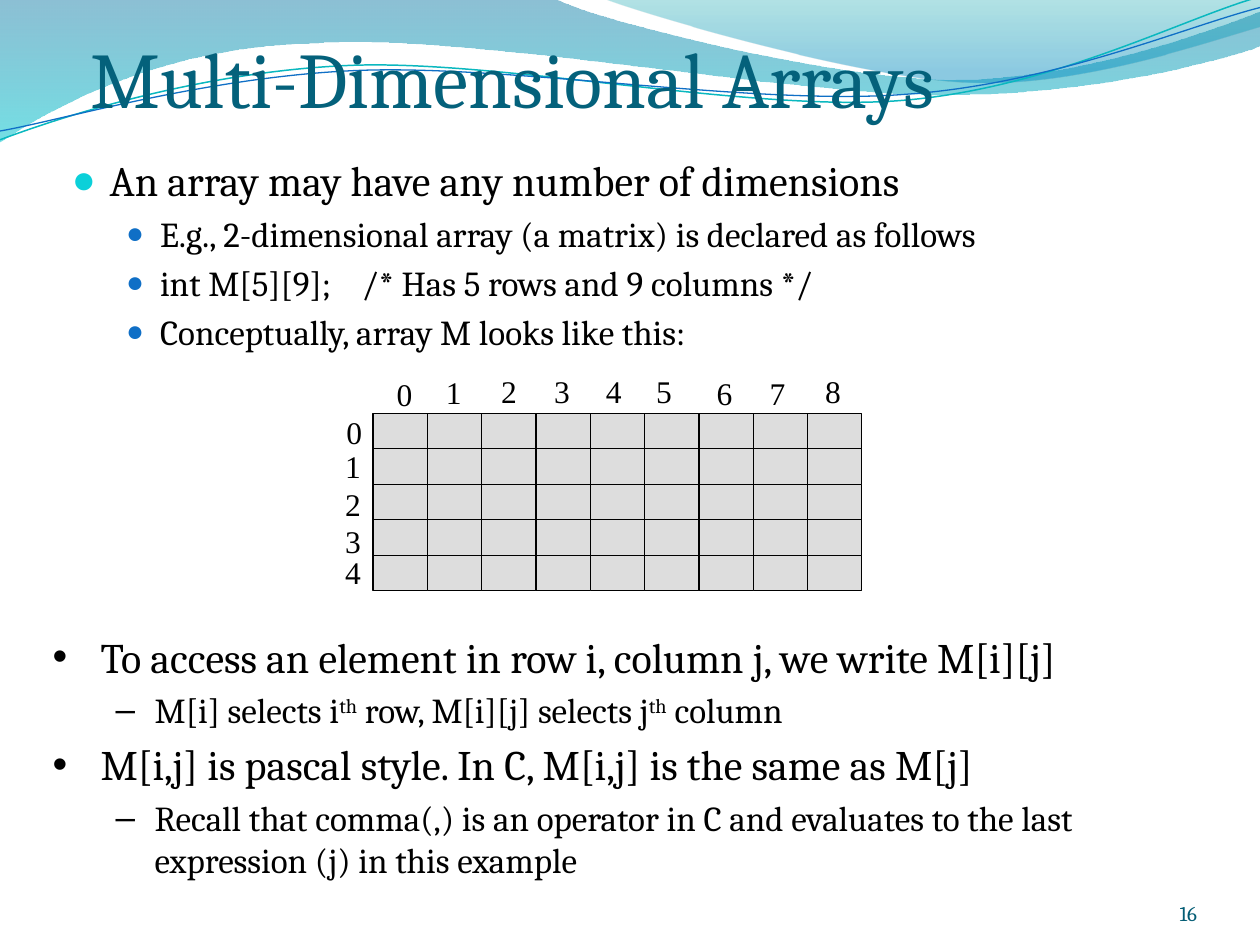
from dataclasses import dataclass

from pptx import Presentation
from pptx.dml.color import RGBColor
from pptx.enum.shapes import MSO_SHAPE
from pptx.enum.text import MSO_ANCHOR, MSO_AUTO_SIZE, PP_ALIGN
from pptx.oxml.ns import qn
from pptx.util import Inches, Pt
from lxml.etree import SubElement


@dataclass
class Theme:
    font: str = "Cambria"
    label_font: str = "Times New Roman"
    title: str = "04617B"
    number: str = "045D75"
    text: str = "000000"
    cell: str = "DDDDDD"
    aqua: str = "0BD0D9"
    blue: str = "0F6FC6"
    teal: str = "0AB8BF"
    title_size: float = 45
    list_sizes: tuple = (24, 20)
    label_size: float = 18
    number_size: float = 12


theme = Theme()


def style_span(span, size, color=theme.text, font=theme.font):
    span.font.size = Pt(size)
    span.font.name = font
    span.font.color.rgb = RGBColor.from_string(color)


def write_list(frame, items, levels):
    """Write (level, text) items; a ^ switches superscript on and off."""
    frame.word_wrap = True
    frame.auto_size = MSO_AUTO_SIZE.NONE
    for number, (level, text) in enumerate(items):
        para = frame.paragraphs[0] if number == 0 else frame.add_paragraph()
        para.level = level
        size = theme.list_sizes[level]
        para.space_before = Pt(size * 0.2)
        for part, words in enumerate(text.split("^")):
            span = para.add_run()
            span.text = words
            style_span(span, size)
            if part % 2:
                span.font._element.set("baseline", "30000")
        margin, indent, bullet, color, percent = levels[level]
        props = para._p.get_or_add_pPr()
        props.set("marL", str(Inches(margin)))
        props.set("indent", str(Inches(indent)))
        SubElement(SubElement(props, qn("a:buClr")), qn("a:srgbClr"), val=color)
        SubElement(props, qn("a:buSzPct"), val=str(percent * 1000))
        SubElement(props, qn("a:buFont"), typeface="Arial")
        SubElement(props, qn("a:buChar"), char=bullet)


deck = Presentation()
deck.slide_width, deck.slide_height = Inches(10), Inches(7.5)
page = deck.slides.add_slide(deck.slide_layouts[1])

# Header waves in hundredths of an inch: two numbers are a line's end, six are
# a Bezier curve; a fill holds (position, colour, opacity), a line colour and width
waves = [
    ([(0, 0), (440, -1), (476, 17, 664, 63, 758, 63), (853, 63, 958, 26, 1000, 9),
      (1001, 36), (983, 44, 870, 76, 746, 75), (622, 75, 382, 28, 257, 34),
      (129, 36, 46, 83, -1, 113)],
     [(0, "0074A1", 45), (1, "00C6CF", 55)], None),
    ([(479, -1), (509, 11, 682, 62, 769, 65), (856, 69, 961, 32, 1000, 21), (1000, 0)],
     [(0, "00A1A9", 30), (0.8, "008BBF", 45)], None),
    ([(0, 111), (48, 93, 158, 57, 277, 52), (395, 47, 593, 89, 713, 80),
      (833, 71, 938, 15, 998, -2)],
     None, (theme.teal, 0.85)),
    ([(0, 104), (47, 96, 164, 61, 283, 56), (403, 51, 597, 84, 717, 75),
      (836, 67, 941, 21, 1000, 6)],
     None, (theme.blue, 0.75)),
]
for depth, (steps, stops, line) in enumerate(waves):
    points = [step[i:i + 2] for step in steps for i in range(0, len(step), 2)]
    builder = page.shapes.build_freeform(*points[0], scale=Inches(0.01))
    builder.add_line_segments(points[1:], close=stops is not None)
    wave = builder.convert_to_shape()
    wave.shadow.inherit = False

    # Join each curve's three points into one Bezier segment
    outline = next(wave._element.iter(qn("a:path")))
    segments = iter(outline.findall(qn("a:lnTo")))
    for step in steps[1:]:
        segment = next(segments)
        if len(step) == 6:
            segment.tag = qn("a:cubicBezTo")
            for _ in range(2):
                extra = next(segments)
                segment.append(extra[0])
                outline.remove(extra)

    if stops:
        wave.line.fill.background()
        wave.fill.gradient()
        wave.fill.gradient_angle = 270
        for stop, (position, color, _) in zip(wave.fill.gradient_stops, stops):
            stop.position = position
            stop.color.rgb = RGBColor.from_string(color)
        for paint, (_, _, opacity) in zip(wave._element.iter(qn("a:srgbClr")), stops):
            SubElement(paint, qn("a:alpha"), val=str(opacity * 1000))
    else:
        wave.fill.background()
        wave.line.color.rgb = RGBColor.from_string(line[0])
        wave.line.width = Pt(line[1])
    page.shapes._spTree.insert(2 + depth, wave._element)

# Title
title = page.shapes.title
title.left, title.top, title.width, title.height = map(Inches, (0.72, 0.3, 8.51, 0.69))
frame = title.text_frame
frame.text = "Multi-Dimensional Arrays"
frame.auto_size = MSO_AUTO_SIZE.NONE
frame.vertical_anchor = MSO_ANCHOR.BOTTOM
frame.margin_left = frame.margin_right = frame.margin_bottom = 0
frame.paragraphs[0].alignment = PP_ALIGN.LEFT
style_span(frame.paragraphs[0].runs[0], theme.title_size, theme.title)

# Upper list
body = page.placeholders[1]
body.left, body.top, body.width, body.height = map(Inches, (0.47, 1.18, 9.17, 1.81))
write_list(body.text_frame, [
    (0, "An array may have any number of dimensions"),
    (1, "E.g., 2-dimensional array (a matrix) is declared as follows"),
    (1, "int M[5][9];    /* Has 5 rows and 9 columns */"),
    (1, "Conceptually, array M looks like this:"),
], [(0.3, -0.3, "●", theme.aqua, 95), (0.7, -0.27, "●", theme.blue, 85)])

# Matrix cells
ROWS, COLUMNS = 5, 9
LEFT, TOP, WIDTH, HEIGHT = 2.96, 3.28, 3.88, 1.41
cell_width, cell_height = WIDTH / COLUMNS, HEIGHT / ROWS
for row in range(ROWS):
    for column in range(COLUMNS):
        cell = page.shapes.add_shape(
            MSO_SHAPE.RECTANGLE,
            Inches(LEFT + column * cell_width), Inches(TOP + row * cell_height),
            Inches(cell_width), Inches(cell_height))
        cell.shadow.inherit = False
        cell.fill.solid()
        cell.fill.fore_color.rgb = RGBColor.from_string(theme.cell)
        cell.line.color.rgb = RGBColor.from_string(theme.text)
        cell.line.width = Pt(0.75)

# Column and row indices, placed by hand around the matrix
column_spots = [(3.05, 2.93), (3.44, 2.91), (3.88, 2.9), (4.3, 2.9), (4.71, 2.9),
                (5.11, 2.9), (5.59, 2.92), (6.01, 2.92), (6.45, 2.9)]
row_spots = [(2.65, 3.23), (2.64, 3.5), (2.64, 3.8), (2.64, 4.09), (2.64, 4.34)]
for spots in (column_spots, row_spots):
    for index, (left, top) in enumerate(spots):
        label = page.shapes.add_textbox(Inches(left), Inches(top), Inches(0.33), Inches(0.4))
        frame = label.text_frame
        frame.text = str(index)
        frame.word_wrap = False
        frame.auto_size = MSO_AUTO_SIZE.SHAPE_TO_FIT_TEXT
        style_span(frame.paragraphs[0].runs[0], theme.label_size, font=theme.label_font)

# Lower list
access = page.shapes.add_textbox(Inches(0.32), Inches(4.96), Inches(9.46), Inches(2.21))
write_list(access.text_frame, [
    (0, "To access an element in row i, column j, we write M[i][j]"),
    (1, "M[i] selects i^th^ row, M[i][j] selects j^th^ column"),
    (0, "M[i,j] is pascal style. In C, M[i,j] is the same as M[j]"),
    (1, "Recall that comma(,) is an operator in C and evaluates to the last "
        "expression (j) in this example"),
], [(0.38, -0.38, "•", theme.text, 100), (0.81, -0.31, "–", theme.text, 100)])

# Page number
number_box = page.shapes.add_textbox(Inches(8.67), Inches(6.95), Inches(0.83), Inches(0.4))
frame = number_box.text_frame
frame.text = "16"
frame.word_wrap = True
frame.vertical_anchor = MSO_ANCHOR.BOTTOM
frame.margin_left = frame.margin_right = frame.margin_top = frame.margin_bottom = 0
frame.paragraphs[0].alignment = PP_ALIGN.RIGHT
style_span(frame.paragraphs[0].runs[0], theme.number_size, theme.number)

deck.save("out.pptx")
